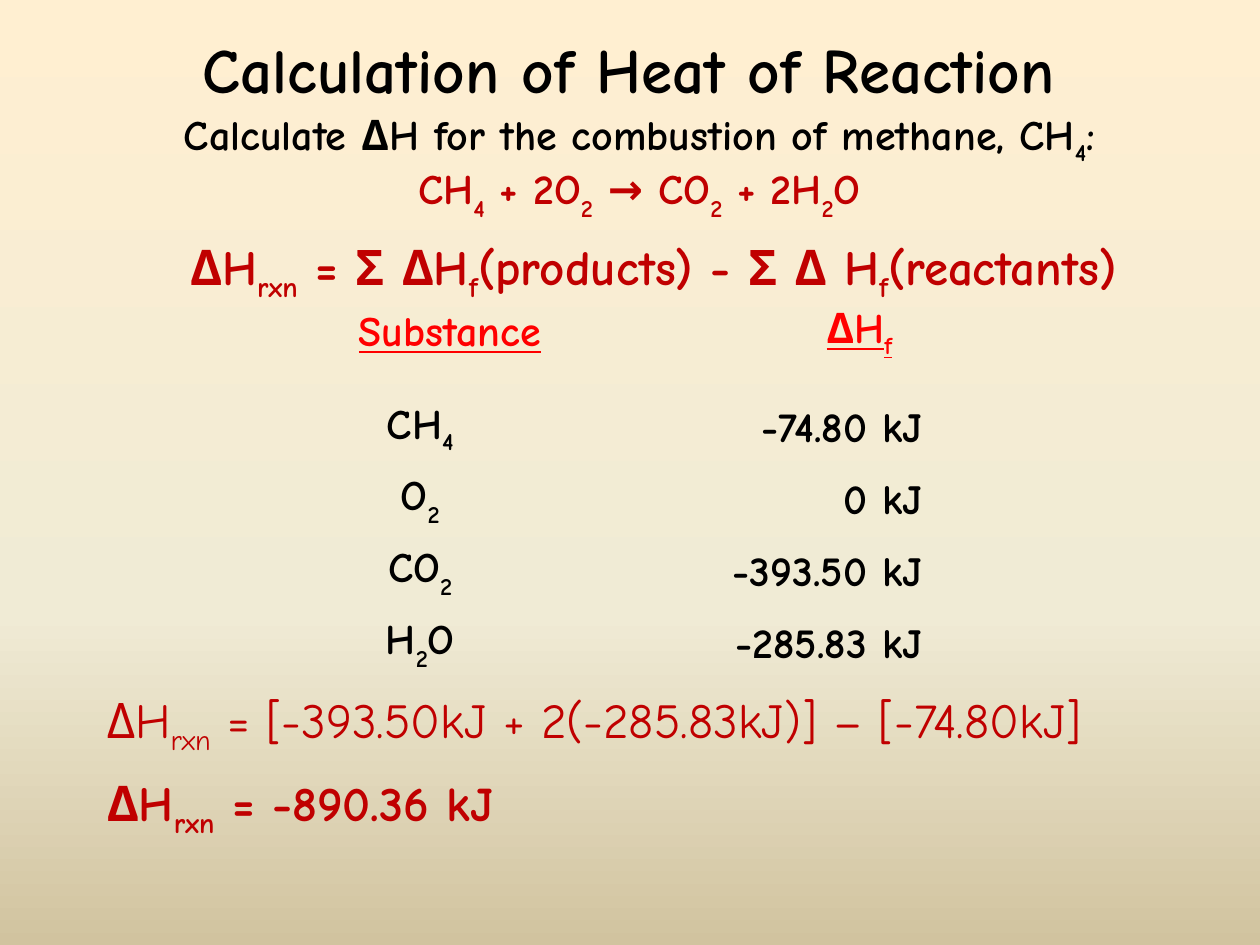
from copy import deepcopy

from lxml.etree import SubElement
from pptx import Presentation
from pptx.dml.color import RGBColor as Rgb
from pptx.enum.text import MSO_ANCHOR as Anchor, PP_ALIGN as Align
from pptx.oxml.ns import qn
from pptx.util import Inches, Pt

COLORS = {
    "top": "FFEFD1",
    "middle": "F0EBD5",
    "bottom": "D1C39F",
    "text": "000000",
    "formula": "C00000",
    "heading": "FF0000",
}


class ChemistrySlide:
    font = "Comic Neue"

    def __init__(self, deck):
        self.slide = deck.slides.add_slide(deck.slide_layouts[5])

    def background(self, stops):
        fill = self.slide.background.fill
        fill.gradient()
        fill.gradient_angle = 270
        stop_list = next(self.slide.element.iter(qn("a:gsLst")))
        stop_list.insert(1, deepcopy(stop_list[0]))
        for stop, (position, color) in zip(fill.gradient_stops, stops):
            stop.position = position
            stop.color.rgb = Rgb.from_string(COLORS[color])

    def add_formula(self, paragraph, formula, size=24, color="text", bold=True,
                    align=Align.CENTER, underline=False, drop=25):
        paragraph.alignment = align
        for index, piece in enumerate(formula.split("|")):
            if not piece:
                continue
            run = paragraph.add_run()
            run.text = piece
            font = run.font
            font.name, font.size, font.bold = self.font, Pt(size), bold
            font.underline = underline
            font.color.rgb = Rgb.from_string(COLORS[color])
            if index % 2:
                run._r.get_or_add_rPr().set("baseline", str(-1000 * drop))

    def title(self, wording, left, top, width, height):
        title = self.slide.shapes.title
        title.left, title.top = Inches(left), Inches(top)
        title.width, title.height = Inches(width), Inches(height)
        title.text_frame.vertical_anchor = Anchor.MIDDLE
        self.add_formula(title.text_frame.paragraphs[0], wording, size=36)

    def equation(self, formula, left, top, width, **style):
        box = self.slide.shapes.add_textbox(
            Inches(left), Inches(top), Inches(width), Inches(0.57))
        box.text_frame.word_wrap = True
        self.add_formula(box.text_frame.paragraphs[0], formula,
                         size=28, color="formula", **style)

    def table(self, left, top, widths, heights):
        table = self.slide.shapes.add_table(
            len(heights), len(widths), Inches(left), Inches(top),
            Inches(sum(widths)), Inches(sum(heights))).table
        table.first_row = table.horz_banding = False
        for column, width in zip(table.columns, widths):
            column.width = Inches(width)
        for row, height in zip(table.rows, heights):
            row.height = Inches(height)
        for cell in table.iter_cells():
            cell.vertical_anchor = Anchor.MIDDLE
            properties = cell._tc.get_or_add_tcPr()
            for side in ("a:lnL", "a:lnR", "a:lnT", "a:lnB"):
                SubElement(SubElement(properties, qn(side)), qn("a:noFill"))
            cell.fill.background()
        return table


def main():
    deck = Presentation()
    deck.slide_width, deck.slide_height = Inches(10), Inches(7.5)
    page = ChemistrySlide(deck)
    page.background([(0, "top"), (0.65, "middle"), (1, "bottom")])
    page.title("Calculation of Heat of Reaction ", 0.83, 0, 8.5, 1.08)

    problem = page.table(0.83, 0.75, [8.49, 0.51], [1.17])
    problem_text = problem.cell(0, 0).text_frame
    question = problem_text.paragraphs[0]
    page.add_formula(question, "Calculate ΔH for the combustion of methane, CH|4|:")
    question._p.get_or_add_pPr().set("indent", str(Inches(-0.34)))
    page.add_formula(problem_text.add_paragraph(),
                     "CH|4| + 2O|2| → CO|2| + 2H|2|O", color="formula", drop=30)

    page.equation("ΔH|rxn| = Σ ΔH|f|(products) - Σ Δ H|f|(reactants)",
                  0.92, 1.83, 8.53)

    enthalpies = [
        ("CH|4|", "-74.80 kJ", 25),
        ("O|2|", "0 kJ", 30),
        ("CO|2|", "-393.50 kJ", 30),
        ("H|2|O", "-285.83 kJ", 30),
    ]
    data = page.table(1.5, 2.17, [3.67, 2.25], [0.95] + [0.57] * len(enthalpies))
    substance_head, enthalpy_head = data.cell(0, 0), data.cell(0, 1)
    substance_head.margin_left = Inches(0.57)
    enthalpy_head.margin_right = Inches(0.34)
    heading = {"color": "heading", "underline": True}
    page.add_formula(substance_head.text_frame.paragraphs[0], "Substance", **heading)
    page.add_formula(enthalpy_head.text_frame.paragraphs[0], "ΔH|f|",
                     align=Align.RIGHT, **heading)
    for row, (substance, enthalpy, drop) in enumerate(enthalpies, 1):
        page.add_formula(data.cell(row, 0).text_frame.paragraphs[0], substance,
                         drop=drop)
        page.add_formula(data.cell(row, 1).text_frame.paragraphs[0], enthalpy,
                         align=Align.RIGHT)

    page.equation("ΔH|rxn| = [-393.50kJ + 2(-285.83kJ)] – [-74.80kJ]",
                  0.75, 5.42, 9.07, bold=False, align=Align.LEFT)
    page.equation("ΔH|rxn| = -890.36 kJ", 0.75, 6.08, 3.97, align=Align.LEFT)
    deck.save("out.pptx")


if __name__ == "__main__":
    main()
